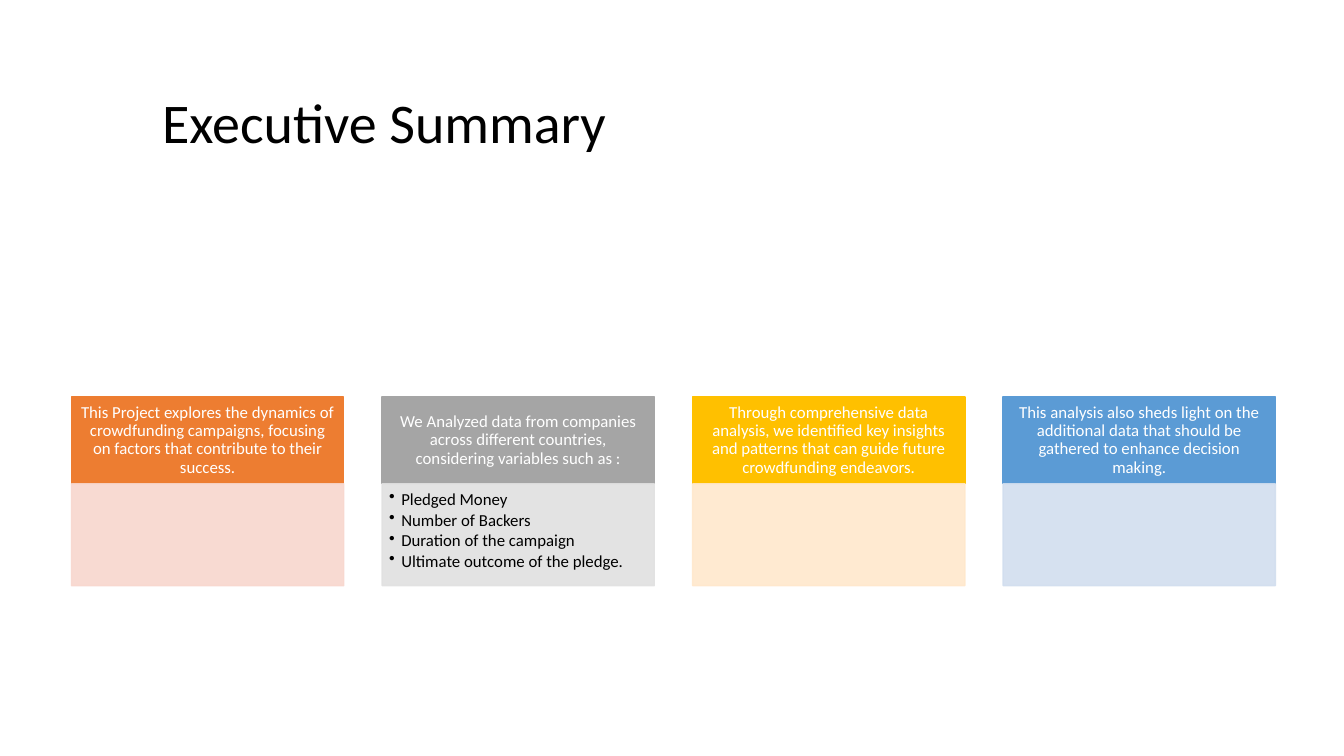
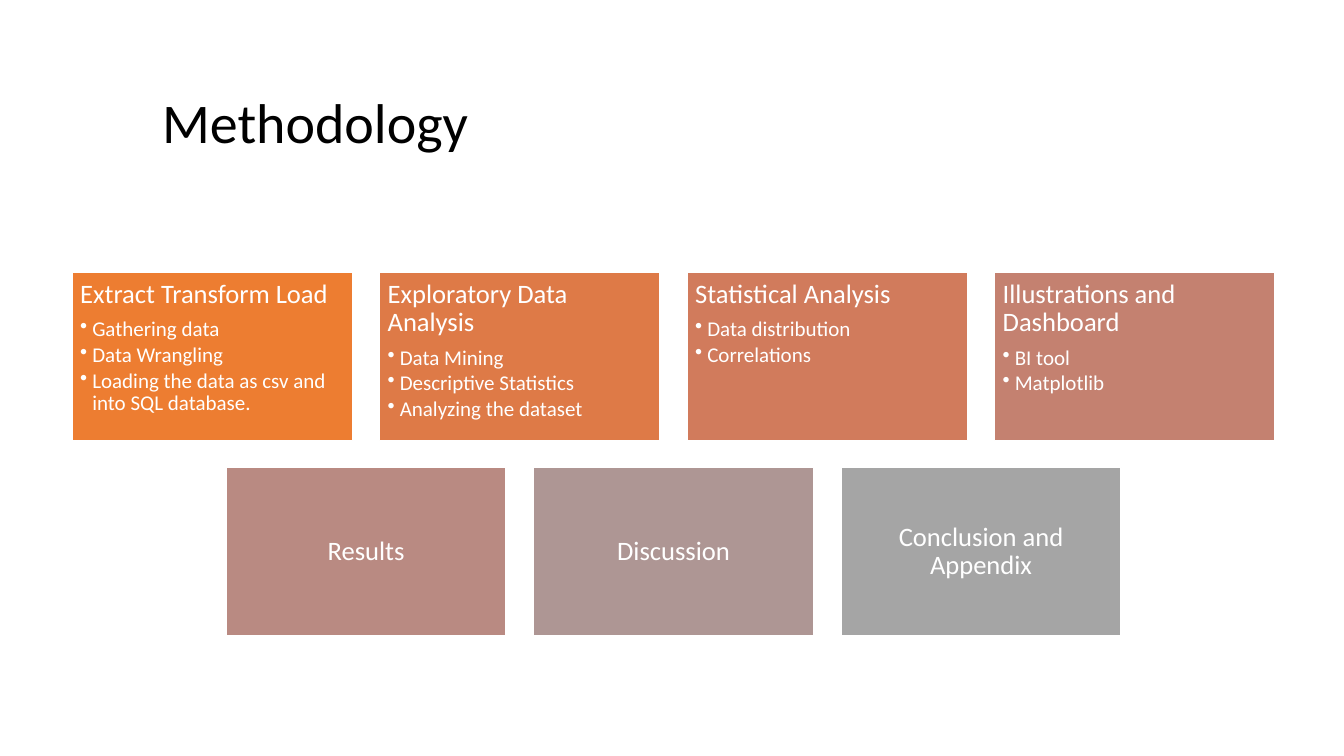
from dataclasses import dataclass

from lxml.etree import SubElement
from pptx import Presentation
from pptx.dml.color import RGBColor
from pptx.enum.shapes import MSO_SHAPE
from pptx.enum.text import MSO_ANCHOR, PP_ALIGN
from pptx.oxml.ns import qn
from pptx.shapes.base import BaseShape
from pptx.slide import Slide
from pptx.text.text import TextFrame
from pptx.util import Inches, Pt


@dataclass(frozen=True)
class Theme:
    font: str = "Calibri"
    black: str = "000000"
    white: str = "FFFFFF"
    orange: str = "ED7D31"
    gray: str = "A5A5A5"
    gold: str = "FFC000"
    blue: str = "5B9BD5"
    title: int = 40
    head: int = 19
    item: int = 15
    small: int = 12
    leading: float = 0.9
    head_gap: float = 0.35
    item_gap: float = 0.15
    indent: float = 0.12
    edge: int = 1
    center: float = 6.68


THEME = Theme()


@dataclass(frozen=True)
class Box:
    left: float
    top: float
    width: float
    height: float


@dataclass(frozen=True)
class Inset:
    left: float
    top: float
    right: float
    bottom: float


@dataclass(frozen=True)
class Card:
    text: str
    fill: str
    pale: str = ""
    items: tuple[str, ...] = ()


HEAD_PAD = Inset(0.09, 0.05, 0.09, 0.05)
BODY_PAD = Inset(0.07, 0.07, 0.09, 0.1)
STEP_PAD = Inset(0.08, 0.08, 0.08, 0.08)

POINTS = (
    Card("This Project explores the dynamics of crowdfunding campaigns, "
         "focusing on factors that contribute to their success.",
         THEME.orange, "F8D7CE"),
    Card("We Analyzed data from companies across different countries, "
         "considering variables such as :",
         THEME.gray, "E1E1E1",
         ("Pledged Money", "Number of Backers", "Duration of the campaign",
          "Ultimate outcome of the pledge.")),
    Card("Through comprehensive data analysis, we identified key insights "
         "and patterns that can guide future crowdfunding endeavors.",
         THEME.gold, "FFE8CC"),
    Card("This analysis also sheds light on the additional data that should "
         "be gathered to enhance decision making.",
         THEME.blue, "D2DEEF"),
)

STEPS = (
    (
        Card("Extract Transform Load", THEME.orange, items=(
            "Gathering data", "Data Wrangling",
            "Loading the data as csv and into SQL database.")),
        Card("Exploratory Data Analysis", "DE7A47", items=(
            "Data Mining", "Descriptive Statistics", "Analyzing the dataset")),
        Card("Statistical Analysis", "D17B5C", items=(
            "Data distribution", "Correlations")),
        Card("Illustrations and Dashboard", "C48170", items=(
            "BI tool", "Matplotlib")),
    ),
    (
        Card("Results", "B98A82"),
        Card("Discussion", "AE9694"),
        Card("Conclusion and Appendix", THEME.gray),
    ),
)


def spread(count: int, width: float, gap: float) -> list[float]:
    """Left edges of a row of equal boxes, centred on the slide's axis."""
    pitch = width + gap
    start = THEME.center - (count * pitch - gap) / 2
    return [start + i * pitch for i in range(count)]


def set_frame(shape: BaseShape, pad: Inset, anchor: MSO_ANCHOR) -> TextFrame:
    frame = shape.text_frame
    frame.word_wrap = True
    frame.vertical_anchor = anchor
    frame.margin_left, frame.margin_top = Inches(pad.left), Inches(pad.top)
    frame.margin_right, frame.margin_bottom = Inches(pad.right), Inches(pad.bottom)
    return frame


def add_text(frame: TextFrame, text: str, size: int, color: str, gap: float = 0,
             align: PP_ALIGN = PP_ALIGN.LEFT, bullet: bool = False) -> None:
    """Write one paragraph; gap is the space after it, as a share of the size."""
    para = frame.paragraphs[0]
    if para.runs:
        para = frame.add_paragraph()
    para.alignment = align
    para.line_spacing = THEME.leading
    para.space_after = Pt(size * gap)
    run = para.add_run()
    run.text = text
    run.font.name = THEME.font
    run.font.size = Pt(size)
    run.font.color.rgb = RGBColor.from_string(color)
    if bullet:
        para.level = 1
        props = para._p.get_or_add_pPr()
        props.set("marL", str(Inches(THEME.indent)))
        props.set("indent", str(-Inches(THEME.indent)))
        SubElement(props, qn("a:buChar"), char="•")


def add_items(frame: TextFrame, items: tuple[str, ...], size: int, color: str) -> None:
    for item in items:
        add_text(frame, item, size, color, THEME.item_gap, bullet=True)


def add_rect(slide: Slide, box: Box, fill: str, line: str,
             alpha: int = 100) -> BaseShape:
    shape = slide.shapes.add_shape(
        MSO_SHAPE.RECTANGLE, Inches(box.left), Inches(box.top),
        Inches(box.width), Inches(box.height))
    shape.shadow.inherit = False
    shape.fill.solid()
    shape.fill.fore_color.rgb = RGBColor.from_string(fill)
    shape.line.color.rgb = RGBColor.from_string(line)
    shape.line.width = Pt(THEME.edge)
    if alpha < 100:
        for color in list(shape.element.spPr.iter(qn("a:srgbClr"))):
            SubElement(color, qn("a:alpha"), val=str(alpha * 1000))
    return shape


def add_slide(deck: Presentation, title: str) -> Slide:
    slide = deck.slides.add_slide(deck.slide_layouts[6])
    box = slide.shapes.add_textbox(
        Inches(1.51), Inches(0.38), Inches(10.63), Inches(1.72))
    frame = set_frame(box, Inset(0.1, 0.05, 0.1, 0.05), MSO_ANCHOR.MIDDLE)
    add_text(frame, title, THEME.title, THEME.black)
    return slide


def add_point(slide: Slide, card: Card, left: float, width: float) -> None:
    """Draw a coloured header with a pale panel under it."""
    top, high = 3.94, 0.86
    head = add_rect(slide, Box(left, top, width, high), card.fill, card.fill)
    add_text(set_frame(head, HEAD_PAD, MSO_ANCHOR.MIDDLE), card.text,
             THEME.small, THEME.white, THEME.head_gap, PP_ALIGN.CENTER)
    body = add_rect(slide, Box(left, top + high, width, 1.01),
                    card.pale, card.pale, alpha=90)
    if card.items:
        frame = set_frame(body, BODY_PAD, MSO_ANCHOR.TOP)
        add_items(frame, card.items, THEME.small, THEME.black)


def add_step(slide: Slide, card: Card, box: Box) -> None:
    """Draw a tile: a list starts at the top left, a lone title is centred."""
    listed = bool(card.items)
    shape = add_rect(slide, box, card.fill, THEME.white)
    frame = set_frame(shape, STEP_PAD,
                      MSO_ANCHOR.TOP if listed else MSO_ANCHOR.MIDDLE)
    add_text(frame, card.text, THEME.head, THEME.white, THEME.head_gap,
             PP_ALIGN.LEFT if listed else PP_ALIGN.CENTER)
    add_items(frame, card.items, THEME.item, THEME.white)


def add_points(deck: Presentation) -> None:
    slide = add_slide(deck, "Executive Summary")
    width = 2.7
    for card, left in zip(POINTS, spread(len(POINTS), width, 0.38)):
        add_point(slide, card, left, width)


def add_steps(deck: Presentation) -> None:
    slide = add_slide(deck, "Methodology")
    width, height, gap = 2.78, 1.67, 0.27
    for i, row in enumerate(STEPS):
        top = 2.7 + i * (height + gap)
        for card, left in zip(row, spread(len(row), width, gap)):
            add_step(slide, card, Box(left, top, width, height))


def main() -> None:
    deck = Presentation()
    deck.slide_width, deck.slide_height = Inches(13.33), Inches(7.5)
    add_points(deck)
    add_steps(deck)
    deck.save("out.pptx")


if __name__ == "__main__":
    main()
